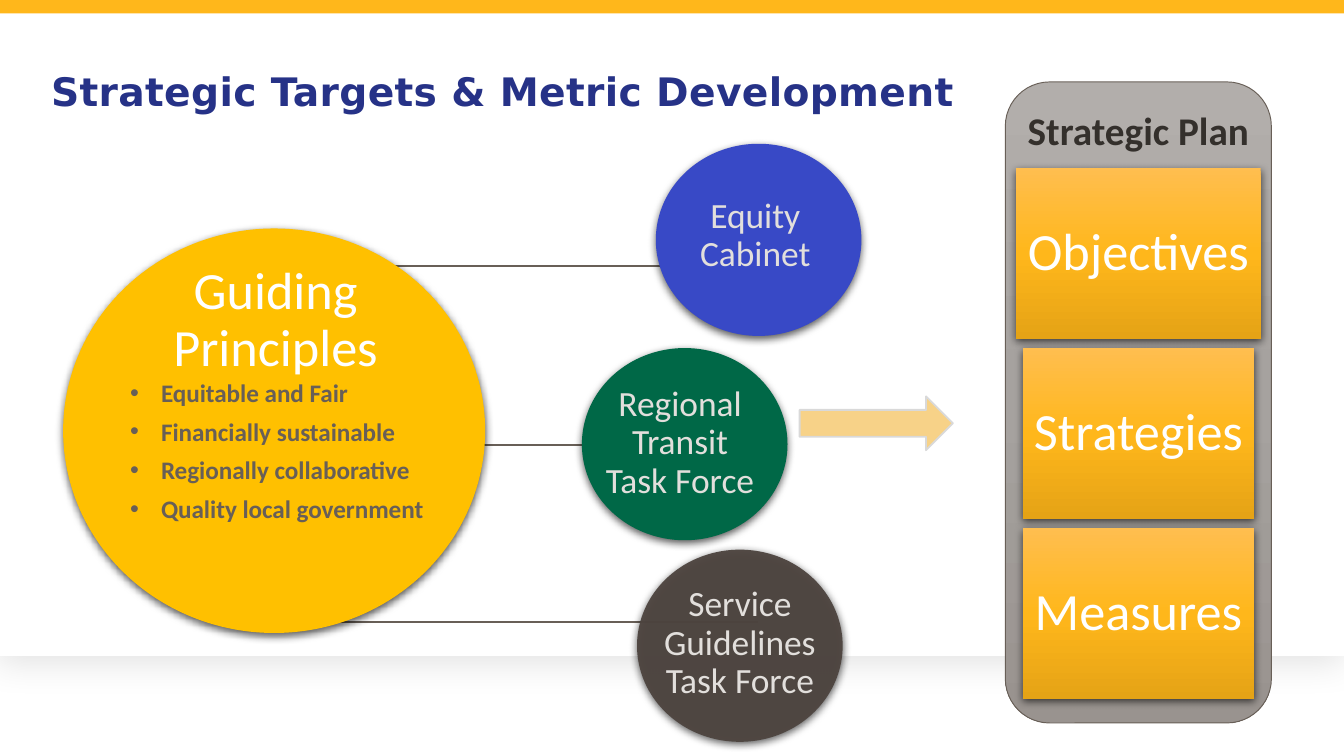
import copy

import pptx
import pptx.dml.color
import pptx.enum.dml
import pptx.enum.shapes
import pptx.enum.text
import pptx.oxml
import pptx.oxml.ns
import pptx.util

Inches, Pt = pptx.util.Inches, pptx.util.Pt
KIND = pptx.enum.shapes.MSO_SHAPE
ALIGN = pptx.enum.text.PP_ALIGN
ANCHOR = pptx.enum.text.MSO_ANCHOR
qn = pptx.oxml.ns.qn

THEME = {
    "font": "Calibri", "head": "DejaVu Sans",
    "navy": "263287", "white": "FFFFFF", "band": "FFB71B", "gold": "FFC000",
    "taupe": "685F57", "pale": "E2DFDC", "dark": "34302C",
    "arrow": "F1B02E", "edge": "D9D9D9",
    "panel": ("B2AEAB", "A6A29F", "99938F"),
    "card": ("FFBE4F", "FFB71B", "E5A316"),
    "title": 21, "big": 28, "group": 19, "item": 13.5,
}
SOFT = (63, 4.5, 1.5)
WIDE = (11, 19, 5)

TITLE = "Strategic Targets & Metric Development"
HUB = "Guiding Principles"
VALUES = ["Equitable and Fair", "Financially sustainable",
          "Regionally collaborative", "Quality local government"]
# name, circle left and top, colour, opacity, label box
GROUPS = [
    ("Equity Cabinet", 4.88, 1.07, "3849C6", 100, (5.09, 1.35, 1.06, 0.81)),
    ("Regional Transit Task Force", 4.33, 2.59, "006847", 100,
     (4.42, 2.73, 1.28, 1.14)),
    ("Service Guidelines Task Force", 4.74, 4.09, "4E4540", 96,
     (4.85, 4.22, 1.31, 1.14)),
]
LINKS = [(4.63, 5.64), (3.31, 5.09), (1.98, 5.64)]  # height, right end
PLAN = "Strategic Plan"
CARDS = [("Objectives", 1.82), ("Strategies", 1.72), ("Measures", 1.72)]
PANEL = (7.48, 0.61, 1.98, 4.77)


def rgb(code):
    return pptx.dml.color.RGBColor.from_string(code)


def add_xml(parent, tag, **attrs):
    node = pptx.oxml.parse_xml(f'<a:{tag} {pptx.oxml.ns.nsdecls("a")}/>')
    for key, value in attrs.items():
        node.set(key, str(value))
    parent.append(node)
    return node


def paint(shape, fill, alpha):
    """Fill with one colour, or with a top-down gradient of three."""
    if isinstance(fill, str):
        shape.fill.solid()
        shape.fill.fore_color.rgb = rgb(fill)
        if alpha < 100:
            color = shape._element.spPr.find(".//" + qn("a:srgbClr"))
            add_xml(color, "alpha", val=alpha * 1000)
        return
    shape.fill.gradient()
    shape.fill.gradient_angle = 270
    stops = shape._element.spPr.find(".//" + qn("a:gsLst"))
    stops.append(copy.deepcopy(stops[0]))
    for i, stop in enumerate(shape.fill.gradient_stops):
        stop.position = i / 2
        stop.color.rgb = rgb(fill[i])


def add_shape(slide, kind, box, fill, alpha=100, line=None, shade=None):
    shape = slide.shapes.add_shape(kind, *map(Inches, box))
    paint(shape, fill, alpha)
    if line:
        shape.line.color.rgb = rgb(line[0])
        shape.line.width = Pt(line[1])
    else:
        shape.line.fill.background()
    shape.shadow.inherit = False
    if shade:
        depth, blur, dist = shade
        effects = shape._element.spPr.find(qn("a:effectLst"))
        outer = add_xml(effects, "outerShdw", blurRad=Pt(blur), dist=Pt(dist),
                        dir=90 * 60000, algn="ctr", rotWithShape=0)
        color = add_xml(outer, "srgbClr", val="000000")
        add_xml(color, "alpha", val=depth * 1000)
    return shape


def write(shape, text, size, color, bold=False, align=ALIGN.CENTER,
          font=THEME["font"], pad=None, space=0.9, anchor=ANCHOR.MIDDLE):
    frame = shape.text_frame
    frame.text = text
    frame.word_wrap = True
    frame.vertical_anchor = anchor
    if pad:
        frame.margin_left = frame.margin_right = Inches(pad[0])
        frame.margin_top = frame.margin_bottom = Inches(pad[1])
    for para in frame.paragraphs:
        para.alignment = align
        para.line_spacing = space
        for run in para.runs:
            run.font.name = font
            run.font.size = Pt(size)
            run.font.bold = bold
            run.font.color.rgb = rgb(color)
    return frame


def add_text(slide, box, *args, **look):
    return write(slide.shapes.add_textbox(*map(Inches, box)), *args, **look)


def add_base(slide):
    add_shape(slide, KIND.RECTANGLE, (-0.02, -0.01, 10.02, 4.89),
              THEME["white"], shade=WIDE)
    add_shape(slide, KIND.RECTANGLE, (-0.02, -0.03, 10.03, 0.13),
              THEME["band"])
    title = slide.shapes.title
    slide.shapes._spTree.append(title._element)
    title.left, title.top, title.width, title.height = map(
        Inches, (0.28, 0.35, 7.29, 0.65))
    frame = write(title, TITLE, THEME["title"], THEME["navy"], bold=True,
                  align=ALIGN.LEFT, font=THEME["head"], space=1)
    frame.paragraphs[0].runs[0].font._element.set("spc", "20")


def add_hub(slide):
    for y, right in LINKS:
        link = slide.shapes.add_connector(
            pptx.enum.shapes.MSO_CONNECTOR.STRAIGHT,
            *map(Inches, (1.84, y, right, y)))
        link.line.color.rgb = rgb(THEME["taupe"])
        link.line.width = Pt(1)
        add_xml(link._element.spPr, "effectLst")
    add_shape(slide, KIND.OVAL, (0.47, 1.7, 3.14, 3.01), THEME["gold"],
              shade=SOFT)
    add_text(slide, (0.84, 1.94, 2.42, 0.9), HUB, THEME["big"],
             THEME["white"], pad=(0, 0))


def add_groups(slide):
    for name, left, top, color, alpha, box in GROUPS:
        add_shape(slide, KIND.OVAL, (left, top, 1.53, 1.43), color, alpha,
                  shade=SOFT)
        add_text(slide, box, name, THEME["group"], THEME["pale"],
                 pad=(0.08, 0))


def add_values(slide):
    frame = add_text(slide, (0.87, 2.76, 2.63, 1.22), "\n".join(VALUES),
                     THEME["item"], THEME["taupe"], bold=True,
                     align=ALIGN.LEFT, space=1, anchor=ANCHOR.TOP)
    for para in frame.paragraphs:
        para.space_after = Pt(4.5)
        props = para._p.get_or_add_pPr()
        props.set("marL", str(Inches(0.23)))
        props.set("indent", str(Inches(-0.23)))
        add_xml(props, "buFont", typeface="Arial")
        add_xml(props, "buChar", char="•")


def add_plan(slide):
    add_shape(slide, KIND.RIGHT_ARROW, (5.95, 2.95, 1.14, 0.4),
              THEME["arrow"], 57, line=(THEME["edge"], 1))
    add_shape(slide, KIND.ROUNDED_RECTANGLE, PANEL, THEME["panel"],
              line=(THEME["taupe"], 0.5))
    left, wide = PANEL[0], PANEL[2]
    for i, (name, width) in enumerate(CARDS):
        box = (left + (wide - width) / 2, 1.25 + 1.34 * i, width, 1.27)
        card = add_shape(slide, KIND.RECTANGLE, box, THEME["card"],
                         shade=SOFT)
        frame = write(card, name, THEME["big"], THEME["white"],
                      pad=(0.08, 0.08))
        frame.word_wrap = False
    add_text(slide, (left, 0.74, wide, 0.45), PLAN, THEME["title"],
             THEME["dark"], bold=True, space=1, anchor=ANCHOR.TOP)


def main():
    deck = pptx.Presentation()
    deck.slide_width, deck.slide_height = Inches(10), Inches(10 * 9 / 16)
    slide = deck.slides.add_slide(deck.slide_layouts[5])
    for add in (add_base, add_hub, add_groups, add_values, add_plan):
        add(slide)
    deck.save("out.pptx")


if __name__ == "__main__":
    main()
